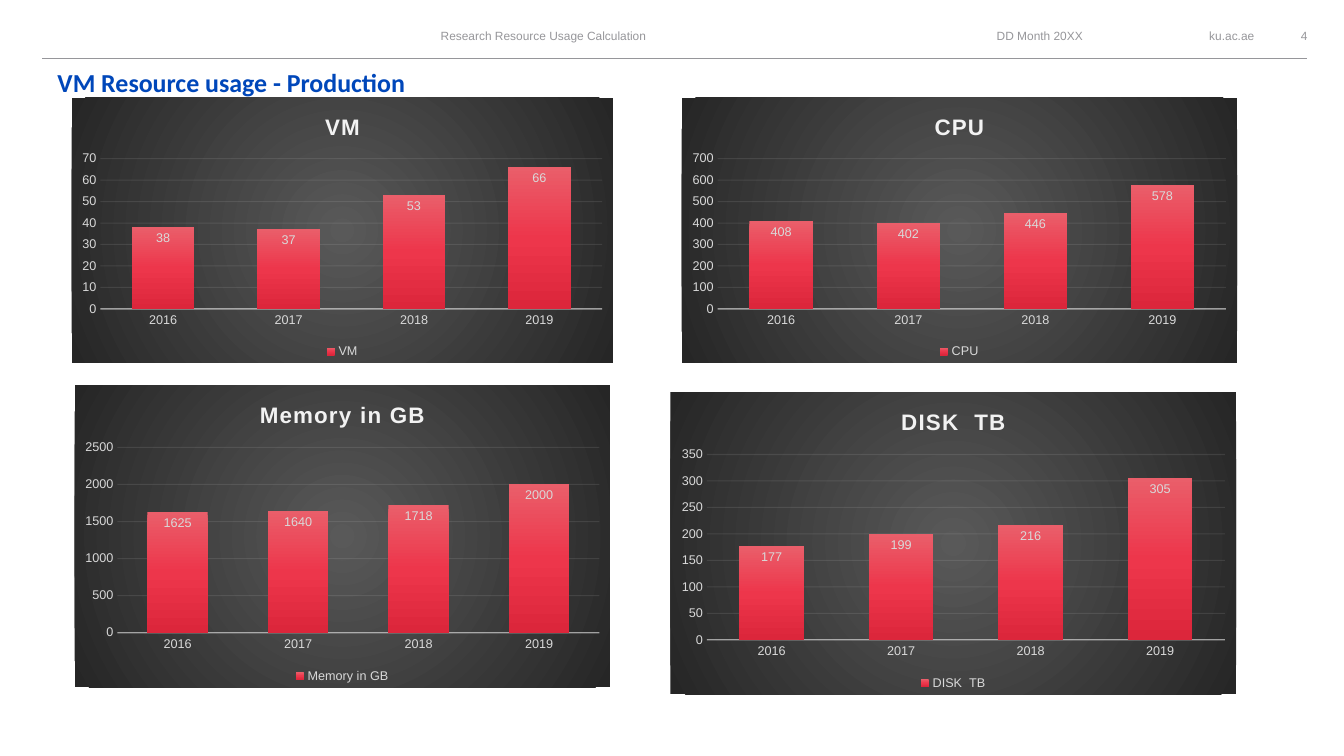
from lxml.etree import SubElement
from pptx import Presentation
from pptx.chart.data import CategoryChartData
from pptx.dml.color import RGBColor
from pptx.enum.chart import XL_CHART_TYPE as ChartType, XL_LABEL_POSITION as LabelPosition
from pptx.enum.chart import XL_LEGEND_POSITION as LegendPosition, XL_TICK_MARK as TickMark
from pptx.enum.shapes import MSO_CONNECTOR as Connector
from pptx.enum.text import MSO_ANCHOR as Anchor, MSO_AUTO_SIZE as AutoSize, PP_ALIGN as Align
from pptx.oxml import parse_xml
from pptx.oxml.ns import nsdecls, qn
from pptx.util import Inches, Pt

COLORS = {
    "gray": "96969A", "blue": "0047BA", "black": "000000",
    "light": "F2F2F2", "label": "D9D9D9",
    "panel_center": "595959", "panel_edge": "262626",
    "bar_top": "EA5E6A", "bar_middle": "ED364B", "bar_bottom": "DC263B",
}
YEARS = ["2016", "2017", "2018", "2019"]
LINEAR = '<a:lin ang="5400000" scaled="0"/>'
RADIAL = '<a:path path="circle"><a:fillToRect l="50000" t="50000" r="50000" b="50000"/></a:path>'


def gradient_properties(names, direction):
    """Chart shape properties with evenly spaced gradient stops and no outline."""
    step = 100000 // (len(names) - 1)
    stops = "".join(
        f'<a:gs pos="{index * step}"><a:srgbClr val="{COLORS[name]}"/></a:gs>'
        for index, name in enumerate(names))
    return parse_xml(
        f'<c:spPr {nsdecls("c", "a")}><a:gradFill><a:gsLst>{stops}</a:gsLst>{direction}'
        '</a:gradFill><a:ln><a:noFill/></a:ln></c:spPr>')


class SlideBuilder:
    def __init__(self, presentation):
        self.slide = presentation.slides.add_slide(presentation.slide_layouts[5])

    def style_font(self, font, size, color, name="Arial", bold=False):
        font.size, font.name, font.bold = Pt(size), name, bold
        font.color.rgb = RGBColor.from_string(COLORS[color])

    def style_line(self, line, color, width, opacity=100):
        line.width = Pt(width)
        line.fill.solid()
        line.fill.fore_color.rgb = RGBColor.from_string(COLORS[color])
        if opacity < 100:
            color_element = line._get_or_add_ln().find(".//" + qn("a:srgbClr"))
            SubElement(color_element, qn("a:alpha")).set("val", str(opacity * 1000))

    def fill_text(self, shape, text, align, anchor):
        frame = shape.text_frame
        frame.word_wrap = True
        frame.margin_left = frame.margin_right = frame.margin_top = frame.margin_bottom = 0
        frame.vertical_anchor = anchor
        frame.text = text
        paragraph = frame.paragraphs[0]
        paragraph.alignment = align
        return paragraph

    def title(self, text, left, top, width, height):
        shape = self.slide.shapes.title
        shape.left, shape.top = Inches(left), Inches(top)
        shape.width, shape.height = Inches(width), Inches(height)
        paragraph = self.fill_text(shape, text, Align.LEFT, Anchor.TOP)
        shape.text_frame.auto_size = AutoSize.SHAPE_TO_FIT_TEXT
        self.style_font(paragraph.font, 18.5, "blue", "Calibri", True)

    def header_text(self, text, left, width, align):
        shape = self.slide.shapes.add_textbox(
            Inches(left), Inches(0.22), Inches(width), Inches(0.27))
        paragraph = self.fill_text(shape, text, align, Anchor.MIDDLE)
        self.style_font(paragraph.font, 8.5, "gray")

    def rule(self, left, right, top):
        line = self.slide.shapes.add_connector(
            Connector.STRAIGHT, Inches(left), Inches(top), Inches(right), Inches(top))
        self.style_line(line.line, "gray", 0.75)
        SubElement(line._element.spPr, qn("a:effectLst"))

    def column_chart(self, name, values, left, top, width, height):
        data = CategoryChartData()
        data.categories = YEARS
        data.add_series(name, values)
        chart = self.slide.shapes.add_chart(
            ChartType.COLUMN_CLUSTERED, Inches(left), Inches(top),
            Inches(width), Inches(height), data).chart
        self.style_font(chart.font, 10, "black")
        chart._chartSpace.chart.addnext(
            gradient_properties(["panel_center", "panel_edge"], RADIAL))

        # Title and legend
        chart.has_title = True
        chart.chart_title.text_frame.text = name
        paragraph = chart.chart_title.text_frame.paragraphs[0]
        self.style_font(paragraph.font, 16, "light", bold=True)
        paragraph.runs[0].font._element.set("spc", "100")
        chart.has_legend = True
        chart.legend.position = LegendPosition.BOTTOM
        chart.legend.include_in_layout = False
        self.style_font(chart.legend.font, 9, "label")

        # Axes
        for axis in (chart.category_axis, chart.value_axis):
            axis.major_tick_mark = axis.minor_tick_mark = TickMark.NONE
            self.style_font(axis.tick_labels.font, 9, "label")
        self.style_line(chart.category_axis.format.line, "light", 1, 54)
        chart.value_axis.format.line.fill.background()
        self.style_line(chart.value_axis.major_gridlines.format.line, "light", 0.75, 10)

        # Bars and value labels
        plot = chart.plots[0]
        plot.gap_width, plot.overlap = 100, -24
        plot.vary_by_categories = False
        series = plot.series[0]
        properties = series._element.get_or_add_spPr()
        properties.getparent().replace(
            properties, gradient_properties(["bar_top", "bar_middle", "bar_bottom"], LINEAR))
        labels = series.data_labels
        labels.show_value = True
        labels.position = LabelPosition.INSIDE_END
        self.style_font(labels.font, 9, "label")


def main():
    presentation = Presentation()
    presentation.slide_width, presentation.slide_height = Inches(13.33), Inches(7.5)
    builder = SlideBuilder(presentation)

    # Header
    builder.header_text("ku.ac.ae", 11.39, 1.05, Align.RIGHT)
    builder.rule(0.42, 12.96, 0.58)
    builder.header_text("DD Month 20XX", 8.84, 1.9, Align.RIGHT)
    builder.header_text("Research Resource Usage Calculation", 3.14, 4.5, Align.CENTER)
    builder.header_text("4", 12.65, 0.57, Align.CENTER)
    builder.title("VM Resource usage - Production", 0.57, 0.66, 4.79, 0.31)

    # Resource charts
    builder.column_chart("VM", [38, 37, 53, 66], 0.71, 0.97, 5.37, 2.63)
    builder.column_chart("CPU", [408, 402, 446, 578], 6.76, 0.97, 5.51, 2.63)
    builder.column_chart("Memory in GB", [1625, 1640, 1718, 2000], 0.74, 3.82, 5.31, 3)
    builder.column_chart("DISK  TB", [177, 199, 216, 305], 6.65, 3.89, 5.61, 3)

    presentation.save("out.pptx")


if __name__ == "__main__":
    main()
